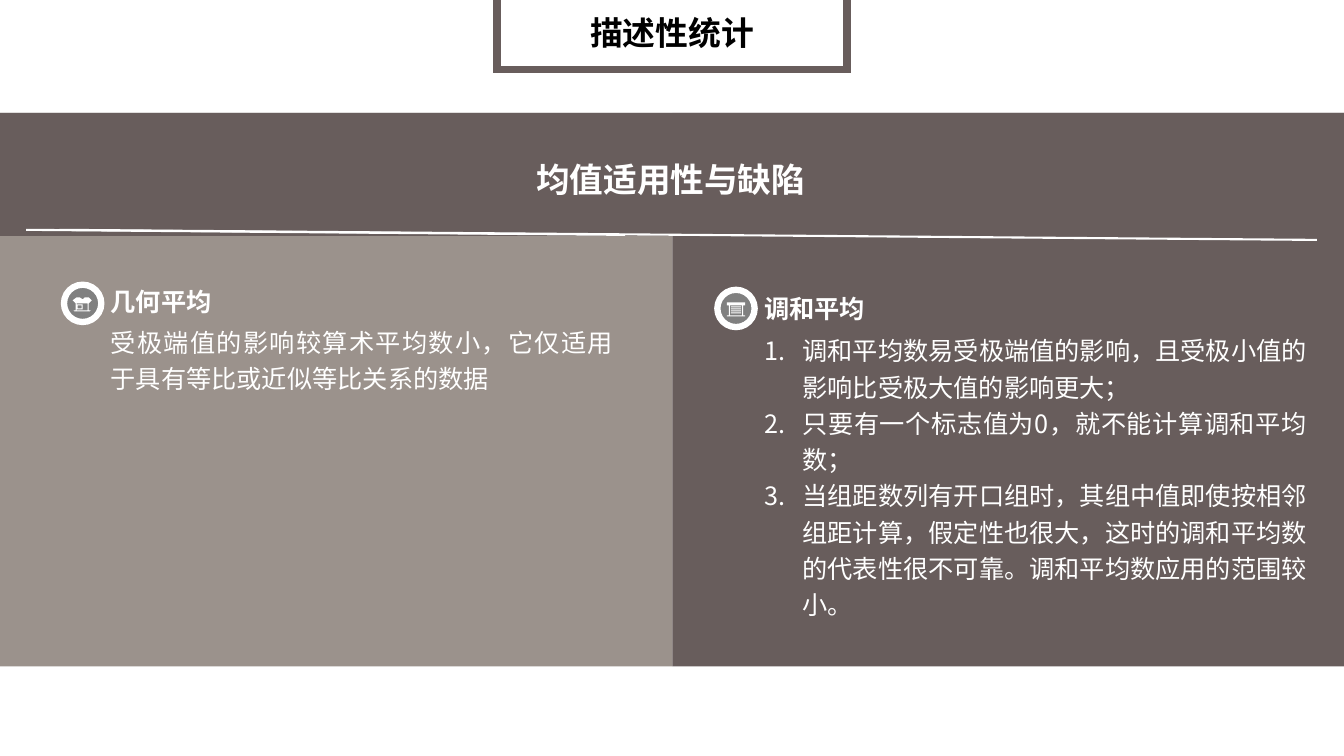
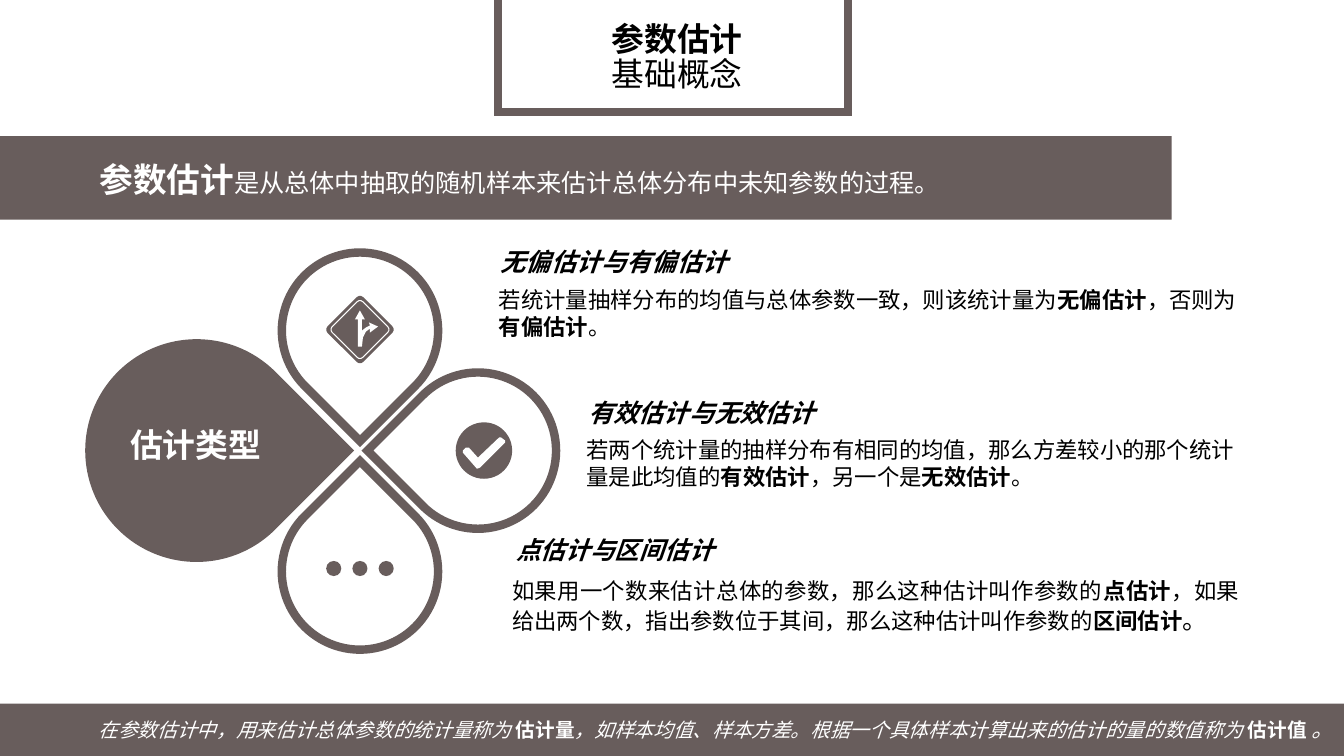
"""Build two statistics slides with a shared title frame and colour style."""
import lxml.etree
import pptx
import pptx.dml.color
import pptx.enum.shapes
import pptx.enum.text
import pptx.oxml.ns
import pptx.util

Inches = pptx.util.Inches
Pt = pptx.util.Pt
SHAPE = pptx.enum.shapes.MSO_SHAPE
ALIGN = pptx.enum.text.PP_ALIGN
ANCHOR = pptx.enum.text.MSO_ANCHOR
qn = pptx.oxml.ns.qn

COLORS = {"dark": "685D5C", "light": "9B928C", "gray": "808080", "white": "FFFFFF", "black": "000000"}
FONT = "Noto Sans CJK SC"
STRONG = {"bold": True}
UPRIGHT = {"bold": True, "italic": False}

SHOP_ICON = [
    [(0.76, 2.95), (0.79, 2.95), (0.82, 2.97), (0.84, 2.95), (0.88, 2.95), (0.91, 2.98),
     (0.88, 3.01), (0.88, 3.08), (0.9, 3.08), (0.89, 3.09), (0.74, 3.09), (0.73, 3.08),
     (0.75, 3.08), (0.75, 3.01), (0.72, 2.98)],
    [(0.76, 3.01), (0.87, 3.01), (0.87, 3.08), (0.76, 3.08)],
    [(0.76, 3.02), (0.82, 3.02), (0.82, 3.07), (0.76, 3.07)],
    [(0.77, 3.03), (0.81, 3.03), (0.81, 3.06), (0.77, 3.06)],
]
SCROLL_ICON = [
    [(7.21, 3), (7.39, 3), (7.39, 3.03), (7.37, 3.03), (7.37, 3.13), (7.39, 3.13),
     (7.39, 3.14), (7.21, 3.14), (7.21, 3.13), (7.23, 3.13), (7.23, 3.03), (7.21, 3.03)],
    [(7.24, 3.03), (7.36, 3.03), (7.36, 3.13), (7.24, 3.13)],
] + [
    [(7.25, top), (7.35, top), (7.35, top + 0.01), (7.25, top + 0.01)]
    for top in (3.04, 3.06, 3.08, 3.1)
]
FORK_ARROW = [[
    (3.57, 3.08), (3.52, 3.17), (3.55, 3.17), (3.55, 3.44), (3.59, 3.44), (3.6, 3.35),
    (3.63, 3.29), (3.67, 3.26), (3.67, 3.3), (3.75, 3.24), (3.66, 3.2), (3.67, 3.23),
    (3.63, 3.25), (3.59, 3.28), (3.59, 3.17), (3.62, 3.17),
]]
CHECK_MARK = [[
    (4.59, 4.49), (4.59, 4.47), (4.62, 4.44), (4.65, 4.44), (4.74, 4.54), (4.95, 4.34),
    (4.97, 4.34), (5.01, 4.37), (5.01, 4.39), (4.76, 4.64), (4.73, 4.65),
]]


class SlideWriter:
    def __init__(self):
        self.deck = pptx.Presentation()
        self.deck.slide_width = Inches(13.33)
        self.deck.slide_height = Inches(7.5)
        self.page = None

    def new_page(self):
        self.page = self.deck.slides.add_slide(self.deck.slide_layouts[6])

    def color(self, name):
        return pptx.dml.color.RGBColor.from_string(COLORS[name])

    def paint(self, shape, fill, line=None, weight=0):
        shape.shadow.inherit = False
        if fill:
            shape.fill.solid()
            shape.fill.fore_color.rgb = self.color(fill)
        else:
            shape.fill.background()
        if line:
            shape.line.color.rgb = self.color(line)
            shape.line.width = Pt(weight)
            outline = shape._element.spPr.find(qn("a:ln"))
            lxml.etree.SubElement(outline, qn("a:miter")).set("lim", "800000")
        else:
            shape.line.fill.background()

    def shape(self, kind, at, fill, line=None, weight=0, turn=0):
        shape = self.page.shapes.add_shape(kind, *map(Inches, at))
        self.paint(shape, fill, line, weight)
        shape.rotation = turn
        return shape

    def centered(self, kind, center, size, fill, line=None, weight=0, turn=0):
        left, top = (middle - size / 2 for middle in center)
        return self.shape(kind, (left, top, size, size), fill, line, weight, turn)

    def outline(self, contours, fill):
        builder = None
        for contour in contours:
            points = [(Inches(x), Inches(y)) for x, y in contour]
            if builder is None:
                builder = self.page.shapes.build_freeform(*points[0], scale=1.0)
            else:
                builder.move_to(*points[0])
            builder.add_line_segments(points[1:], close=True)
        self.paint(builder.convert_to_shape(), fill)

    def line(self, start, end):
        connector = self.page.shapes.add_connector(
            pptx.enum.shapes.MSO_CONNECTOR.STRAIGHT, *map(Inches, start + end))
        connector.line.color.rgb = self.color("white")
        connector.line.width = Pt(1.5)
        lxml.etree.SubElement(connector._element.spPr, qn("a:effectLst"))

    def text(self, at, paragraphs, size, color="white", bold=False, italic=False,
             align=ALIGN.LEFT, spacing=None, anchor=ANCHOR.TOP, numbered=False, font=FONT):
        box = self.page.shapes.add_textbox(*map(Inches, at))
        frame = box.text_frame
        frame.word_wrap = True
        frame.vertical_anchor = anchor
        for index, spans in enumerate(paragraphs):
            para = frame.add_paragraph() if index else frame.paragraphs[0]
            para.alignment = align
            para.line_spacing = spacing
            para.font.size = Pt(size)
            para.font.bold = bold
            para.font.italic = italic
            para.font.color.rgb = self.color(color)
            para.font.name = font
            settings = para._p.pPr
            defaults = settings.find(qn("a:defRPr"))
            lxml.etree.SubElement(defaults, qn("a:ea")).set("typeface", FONT)
            if numbered:
                settings.set("marL", str(Inches(0.38)))
                settings.set("indent", str(-Inches(0.38)))
                number = lxml.etree.Element(qn("a:buAutoNum"), type="arabicPeriod")
                defaults.addprevious(number)
            for words, style in spans:
                span = para.add_run()
                span.text = words
                for name, value in style.items():
                    setattr(span.font, name, value)

    def label(self, at, words, size, color="white", **style):
        self.text(at, [[(words, {})]], size, color, bold=True, anchor=ANCHOR.MIDDLE, **style)

    def title(self, frame_at, text_at, heading, subtitle=None):
        self.shape(SHAPE.RECTANGLE, frame_at, "white", "dark", 5.5)
        lines = [[(heading, STRONG)]]
        if subtitle:
            lines.append([(subtitle, {})])
        self.text(text_at, lines, 23.4, "black", align=ALIGN.CENTER,
                  spacing=0.9, anchor=ANCHOR.MIDDLE)

    def badge(self, center, icon):
        self.centered(SHAPE.OVAL, center, 0.37, "gray", "white", 4.5)
        self.outline(icon, "white")

    def save(self):
        self.deck.save("out.pptx")


def build_means(writer):
    writer.new_page()
    writer.shape(SHAPE.RECTANGLE, (0, 1.12, 6.67, 5.49), "light")
    writer.shape(SHAPE.RECTANGLE, (6.67, 1.12, 6.67, 5.49), "dark")
    writer.shape(SHAPE.RECTANGLE, (0, 1.12, 13.33, 1.22), "dark")
    writer.label((5.22, 1, 4.87, 1.56), "均值适用性与缺陷", 24)
    writer.line((0.59, 2.28), (13.06, 2.38))
    writer.line((0.26, 2.28), (6.2, 2.33))

    writer.badge((0.82, 3.01), SHOP_ICON)
    writer.label((1, 2.76, 3.79, 0.46), "几何平均", 18)
    writer.text((1, 3.14, 5.18, 1.78),
                [[("受极端值的影响较算术平均数小，它仅适用于具有等比或近似等比关系的数据", {})]],
                18, align=ALIGN.JUSTIFY, spacing=1.2)

    writer.badge((7.3, 3.06), SCROLL_ICON)
    writer.label((7.48, 2.83, 3.79, 0.46), "调和平均", 18)
    limits = [
        "调和平均数易受极端值的影响，且受极小值的影响比受极大值的影响更大；",
        "只要有一个标志值为0，就不能计算调和平均数；",
        "当组距数列有开口组时，其组中值即使按相邻组距计算，假定性也很大，"
        "这时的调和平均数的代表性很不可靠。调和平均数应用的范围较小。",
    ]
    writer.text((7.48, 3.22, 5.58, 3.7), [[(limit, {})] for limit in limits],
                18, align=ALIGN.JUSTIFY, spacing=1.2, numbered=True)
    writer.title((4.93, -0.69, 3.47, 1.38), (4.93, 0.02, 3.47, 0.66), "描述性统计")


def build_estimation(writer):
    writer.new_page()
    writer.title((4.94, -0.6, 3.47, 1.71), (4.98, 0, 3.47, 1.16), "参数估计", "基础概念")
    writer.shape(SHAPE.RECTANGLE, (0, 1.35, 11.62, 0.83), "dark")
    writer.text((0.89, 1.53, 9.46, 0.5),
                [[("参数估计", {"bold": True, "size": Pt(24)}),
                  ("是从总体中抽取的随机样本来估计总体分布中未知参数的过程。", {})]],
                18, font="Calibri")
    writer.shape(SHAPE.RECTANGLE, (0, 6.98, 13.33, 0.52), "dark")
    writer.text((0.88, 7.05, 12.45, 0.37),
                [[("在参数估计中，用来估计总体参数的统计量称为 ", {}), ("估计量", UPRIGHT),
                  ("，如样本均值、样本方差。根据一个具体样本计算出来的估计的量的数值称为 ", {}),
                  ("估计值 ", UPRIGHT), ("。", {"size": Pt(16)})]],
                14, italic=True)

    writer.centered(SHAPE.TEAR, (1.95, 4.47), 2.21, "dark", turn=45)
    for center, turn in (((4.74, 4.47), 225), ((3.57, 3.28), 135), ((3.57, 5.67), 315)):
        writer.centered(SHAPE.TEAR, center, 1.55, "white", "dark", 6, turn)
    writer.label((0.93, 4.16, 2.02, 0.54), "估计类型", 23.4, align=ALIGN.CENTER, spacing=0.9)

    for size, fill, line in ((0.5, "dark", None), (0.43, None, "white")):
        sign = writer.centered(SHAPE.ROUNDED_RECTANGLE, (3.57, 3.27), size, fill, line, 0.75, 45)
        sign.adjustments[0] = 0.09
    writer.outline(FORK_ARROW, "white")
    writer.centered(SHAPE.OVAL, (4.8, 4.47), 0.56, "dark")
    writer.outline(CHECK_MARK, "white")
    for step in (-1, 0, 1):
        writer.centered(SHAPE.OVAL, (3.57 + 0.26 * step, 5.64), 0.15, "dark")

    topics = [
        ("无偏估计与有偏估计", (4.8, 2.36), 18, 0.7, (4.85, 2.79, 7.53, 0.64), ALIGN.LEFT,
         [("若统计量抽样分布的均值与总体参数一致，则该统计量为", {}), ("无偏估计", STRONG),
          ("，否则为", {}), ("有偏估计", STRONG), ("。", {})]),
        ("有效估计与无效估计", (5.67, 3.86), 18, 0.7, (5.72, 4.28, 6.68, 0.64), ALIGN.LEFT,
         [("若两个统计量的抽样分布有相同的均值，那么方差较小的那个统计量是此均值的", {}),
          ("有效估计", STRONG), ("，另一个是", {}), ("无效估计", STRONG), ("。", {})]),
        ("点估计与区间估计", (4.81, 5.2), 17.6, 0.9, (4.98, 5.68, 7.41, 0.67), ALIGN.JUSTIFY,
         [("如果用一个数来估计总体的参数，那么这种估计叫作参数的", {}), ("点估计", STRONG),
          ("，如果给出两个数，指出参数位于其间，那么这种估计叫作参数的", {}),
          ("区间估计", STRONG), ("。", {"size": Pt(18)})]),
    ]
    for heading, corner, size, spacing, body_at, align, spans in topics:
        writer.label(corner + (2.58, 0.54), heading, size, "black", italic=True,
                     align=ALIGN.CENTER, spacing=spacing)
        writer.text(body_at, [spans], 16, "black", align=align)


def main():
    writer = SlideWriter()
    build_means(writer)
    build_estimation(writer)
    writer.save()


if __name__ == "__main__":
    main()
